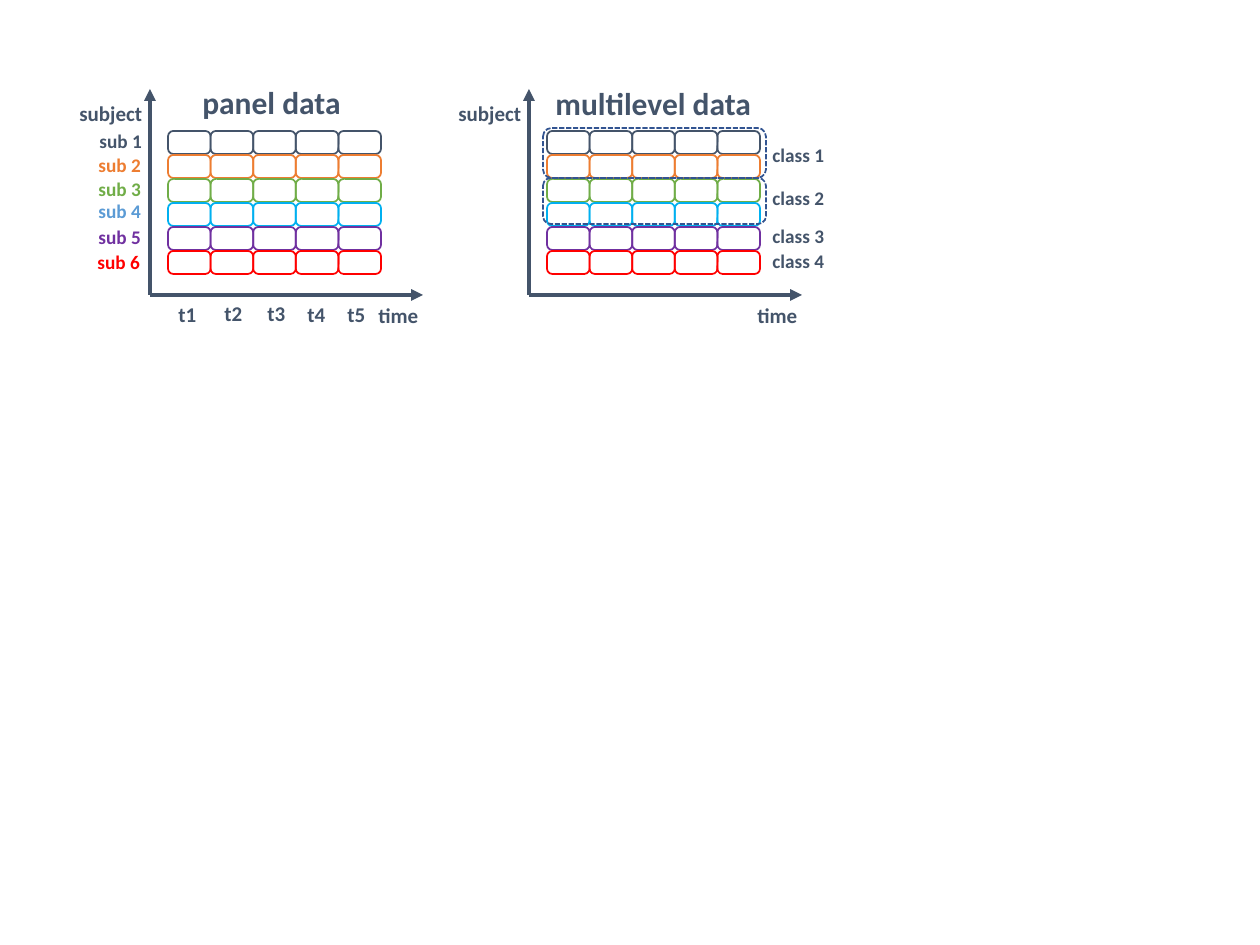
"""Builds a slide comparing panel data with multilevel data as two subject-by-time grids."""
from lxml import etree
from pptx import Presentation
from pptx.dml.color import RGBColor
from pptx.enum.dml import MSO_LINE
from pptx.enum.shapes import MSO_CONNECTOR, MSO_SHAPE
from pptx.enum.text import MSO_AUTO_SIZE
from pptx.oxml.ns import qn
from pptx.util import Pt

ROUNDED = MSO_SHAPE.ROUNDED_RECTANGLE
STRAIGHT = MSO_CONNECTOR.STRAIGHT
DASHED = MSO_LINE.SQUARE_DOT
GROW = MSO_AUTO_SIZE.SHAPE_TO_FIT_TEXT
EMU_PER_PIXEL = 914400 / 126

THEME = {
    "font": "Calibri", "ink": "44546A", "class_outline": "325491",
    "heading": 18, "axis_label": 12, "label": 11,
    "outline": 1, "axis": 2.25,
}

PANELS = [
    {"heading": ("panel data", 190, 77, 165), "origin": 150},
    {"heading": ("multilevel data", 543, 78, 223), "origin": 529},
]
ROW_COLORS = ["44546A", "ED7D31", "70AD47", "00B0F0", "7030A0", "FF0000"]
SUBJECTS = [
    ("sub 1", 87, 123, "44546A"), ("sub 2", 86, 147, "ED7D31"),
    ("sub 3", 86, 171, "70AD47"), ("sub 4", 86, 193, "5B9BD5"),
    ("sub 5", 86, 219, "7030A0"), ("sub 6", 85, 244, "FF0000"),
]
TIMES = [("t1", 166, 295), ("t2", 212, 294), ("t3", 255, 294), ("t4", 295, 295), ("t5", 335, 295)]
CLASSES = [("class 1", 137), ("class 2", 180), ("class 3", 218), ("class 4", 243)]
CLASS_OUTLINES = [(128, 50), (178, 46)]

COLUMNS = 5
GRID_INDENT, GRID_TOP, GRID_WIDTH = 18, 131, 213
ROW_PITCH, CELL_HEIGHT = 24, 23
AXIS_Y, AXIS_TOP, AXIS_LENGTH = 295, 89, 273


def px(length):
    return round(length * EMU_PER_PIXEL)


def add_outline(slide, left, top, width, height, color, corner, dash=None):
    outline = slide.shapes.add_shape(ROUNDED, px(left), px(top), px(width), px(height))
    outline.adjustments[0] = corner
    outline.shadow.inherit = False
    outline.fill.background()
    outline.line.color.rgb = RGBColor.from_string(color)
    outline.line.width = Pt(THEME["outline"])
    if dash:
        outline.line.dash_style = dash


def add_axis(slide, start, end):
    axis = slide.shapes.add_connector(STRAIGHT, *map(px, start + end))
    axis.line.color.rgb = RGBColor.from_string(THEME["ink"])
    axis.line.width = Pt(THEME["axis"])
    etree.SubElement(axis.line._get_or_add_ln(), qn("a:tailEnd"), type="triangle")
    etree.SubElement(axis._element.spPr, qn("a:effectLst"))


def add_label(slide, text, left, top, width, height, size, color=THEME["ink"]):
    label = slide.shapes.add_textbox(px(left), px(top), px(width), px(height))
    frame = label.text_frame
    frame.word_wrap = False
    frame.auto_size = GROW
    paragraph = frame.paragraphs[0]
    paragraph.text = text
    paragraph.font.name = THEME["font"]
    paragraph.font.size = Pt(THEME[size])
    paragraph.font.bold = True
    paragraph.font.color.rgb = RGBColor.from_string(color)


def add_panel(slide, heading, origin):
    cell_width = GRID_WIDTH / COLUMNS
    for column in range(COLUMNS):
        for row, color in enumerate(ROW_COLORS):
            add_outline(slide, origin + GRID_INDENT + column * cell_width,
                        GRID_TOP + row * ROW_PITCH, cell_width, CELL_HEIGHT, color, 0.23)
    add_axis(slide, (origin, AXIS_Y), (origin + AXIS_LENGTH, AXIS_Y))
    add_axis(slide, (origin, AXIS_Y), (origin, AXIS_TOP))
    add_label(slide, "time", origin + 216, 296, 66, 38, "axis_label")
    add_label(slide, "subject", origin - 83, 94, 89, 38, "axis_label")
    text, left, top, width = heading
    add_label(slide, text, left, top, width, 50, "heading")


deck = Presentation()
deck.slide_width, deck.slide_height = px(1260), px(945)
slide = deck.slides.add_slide(deck.slide_layouts[6])

for panel in PANELS:
    add_panel(slide, **panel)
for top, height in CLASS_OUTLINES:
    add_outline(slide, 543, top, 223, height, THEME["class_outline"], 0.17, DASHED)
for name, top in CLASSES:
    add_label(slide, name, 760, top, 78, 36, "label")
for name, left, top, color in SUBJECTS:
    add_label(slide, name, left, top, 68, 36, "label", color)
for name, left, top in TIMES:
    add_label(slide, name, left, top, 44, 38, "axis_label")

deck.save("out.pptx")
